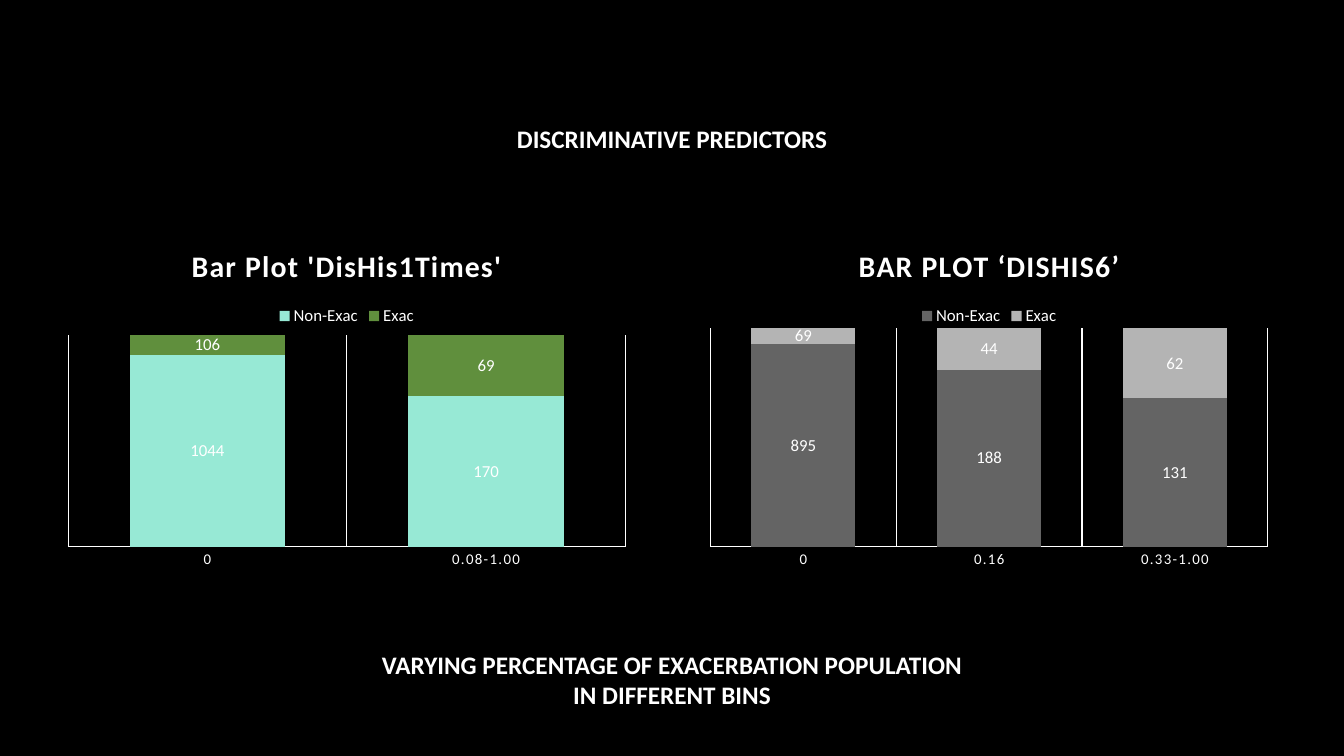
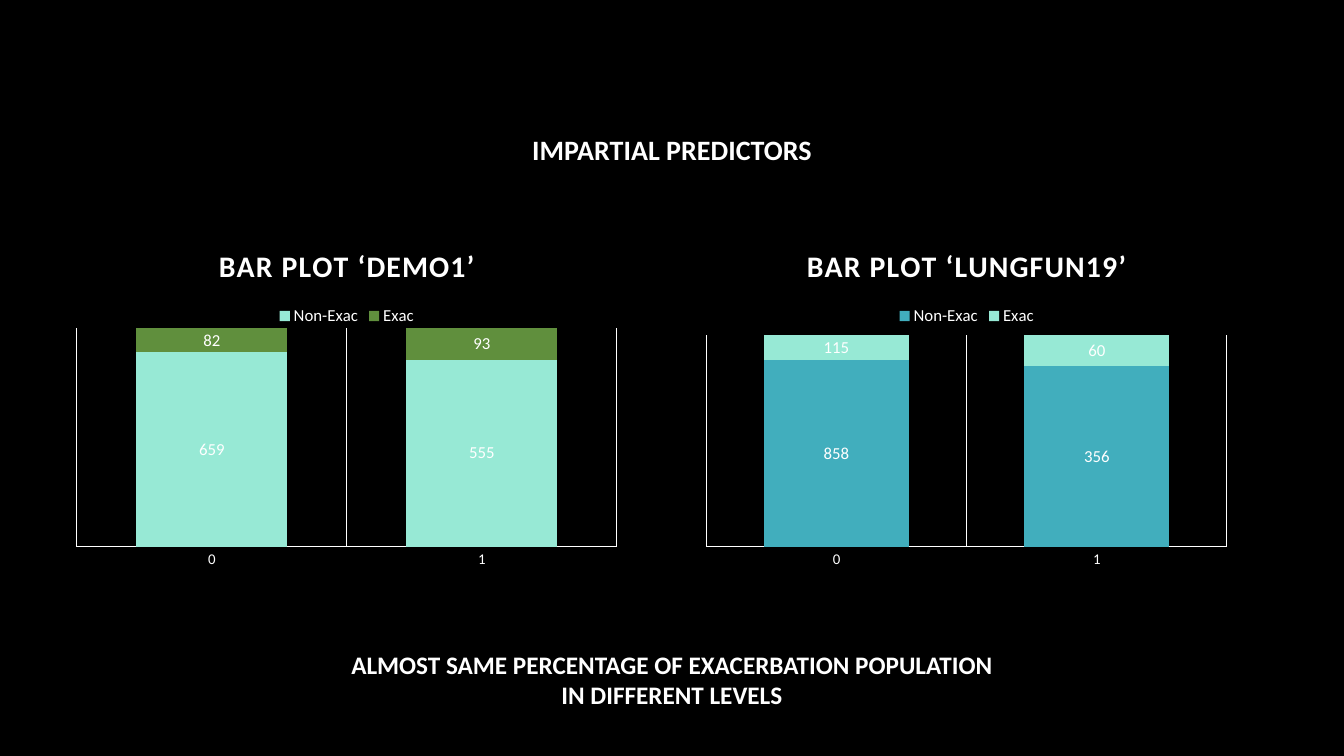
from dataclasses import dataclass

from lxml.etree import SubElement
from pptx import Presentation
from pptx.chart.data import CategoryChartData
from pptx.dml.color import RGBColor
from pptx.enum.chart import (XL_CHART_TYPE, XL_LABEL_POSITION,
                             XL_LEGEND_POSITION, XL_TICK_MARK)
from pptx.enum.text import MSO_ANCHOR, MSO_AUTO_SIZE, PP_ALIGN
from pptx.oxml import parse_xml
from pptx.oxml.ns import nsdecls, qn
from pptx.util import Inches, Pt


@dataclass(frozen=True)
class Theme:
    font: str = "Calibri"
    background: str = "000000"
    text: str = "FFFFFF"
    mint: str = "97E9D5"
    green: str = "608F3D"
    teal: str = "41AEBD"
    dark_gray: str = "646464"
    light_gray: str = "B4B4B4"
    caption_size: float = 18
    chart_title_size: float = 21.3
    label_size: float = 12
    axis_size: float = 10.6
    base_size: float = 10
    line_width: float = 0.75
    letter_spacing: int = 100


THEME = Theme()
WIDTH, HEIGHT = Inches(13.33), Inches(7.5)
TITLE_ONLY = 5
SERIES_NAMES = ("Non-Exac", "Exac")

# Rows and columns are percentages of the slide: (start, length)
CHART_ROW = (30.13, 45.87)
CAPTION_ROW = (85.2, 9.47)
TITLE_WIDTH = 29.55

SLIDES = [
    {
        "title": "DISCRIMINATIVE PREDICTORS",
        "title_size": 18,
        "title_row": (15.6, 5.33),
        "caption": ["VARYING PERCENTAGE OF EXACERBATION POPULATION",
                    "IN DIFFERENT BINS"],
        "caption_width": 53.1,
        "charts": [
            {"title": "Bar Plot 'DisHis1Times'", "column": (4.2, 43.2),
             "categories": ["0", "0.08-1.00"],
             "values": [(1044, 170), (106, 69)],
             "colors": (THEME.mint, THEME.green), "plot_top": 0.31},
            {"title": "BAR PLOT ‘DISHIS6’", "column": (52, 43.2),
             "categories": ["0", "0.16", "0.33-1.00"],
             "values": [(895, 188, 131), (69, 44, 62)],
             "colors": (THEME.dark_gray, THEME.light_gray), "plot_top": 0.29},
        ],
    },
    {
        "title": "IMPARTIAL PREDICTORS",
        "title_size": 20,
        "title_row": (16.8, 5.87),
        "caption": ["ALMOST SAME PERCENTAGE OF EXACERBATION POPULATION",
                    "IN DIFFERENT LEVELS"],
        "caption_width": 73.14,
        "charts": [
            {"title": "BAR PLOT ‘DEMO1’", "column": (4.88, 41.86),
             "categories": ["0", "1"],
             "values": [(659, 555), (82, 93)],
             "colors": (THEME.mint, THEME.green), "plot_top": 0.29},
            {"title": "BAR PLOT ‘LUNGFUN19’", "column": (51.75, 40.35),
             "categories": ["0", "1"],
             "values": [(858, 356), (115, 60)],
             "colors": (THEME.teal, THEME.mint), "plot_top": 0.31},
        ],
    },
]


def box_at(column, row):
    """Turn percentages of the slide into left, top, width and height."""
    (left, width), (top, height) = column, row
    return tuple(int(side * share / 100) for side, share in
                 ((WIDTH, left), (HEIGHT, top), (WIDTH, width), (HEIGHT, height)))


def centered(width):
    return (100 - width) / 2, width


def style_font(font, size, bold=False):
    font.name = THEME.font
    font.size = Pt(size)
    font.bold = bold
    font.color.rgb = RGBColor.from_string(THEME.text)


def write_text(frame, lines, *, size, bold=True, align=PP_ALIGN.CENTER):
    frame.word_wrap = True
    frame.auto_size = MSO_AUTO_SIZE.SHAPE_TO_FIT_TEXT
    frame.vertical_anchor = MSO_ANCHOR.TOP
    for index, line in enumerate(lines):
        paragraph = frame.add_paragraph() if index else frame.paragraphs[0]
        paragraph.alignment = align
        run = paragraph.add_run()
        run.text = line
        style_font(run.font, size, bold)


def place_title(slide, text, size, box):
    title = slide.shapes.title
    title.left, title.top, title.width, title.height = box
    write_text(title.text_frame, [text], size=size)


def add_caption(slide, lines, box):
    write_text(slide.shapes.add_textbox(*box).text_frame, lines,
               size=THEME.caption_size)


def set_plot_area(chart, top, left=0.02, width=0.96, bottom=0.92):
    """Fix the inner plot area, in shares of the chart."""
    plot_area = chart.element.find(f".//{qn('c:plotArea')}")
    for layout in plot_area.findall(qn("c:layout")):
        plot_area.remove(layout)
    layout = parse_xml(f"<c:layout {nsdecls('c')}/>")
    manual = SubElement(layout, qn("c:manualLayout"))
    settings = {"layoutTarget": "inner", "xMode": "edge", "yMode": "edge",
                "x": left, "y": top, "w": width, "h": round(bottom - top, 2)}
    for name, value in settings.items():
        SubElement(manual, qn(f"c:{name}")).set("val", str(value))
    plot_area.insert(0, layout)


def space_letters(chart):
    for query in ("c:chart/c:title//a:rPr",
                  "c:chart/c:plotArea/c:catAx/c:txPr//a:defRPr"):
        for properties in chart.element.xpath(query):
            properties.set("spc", str(THEME.letter_spacing))


def style_axes(chart):
    axis = chart.category_axis
    axis.major_tick_mark = axis.minor_tick_mark = XL_TICK_MARK.NONE
    axis.has_major_gridlines = True
    for line in (axis.format.line, axis.major_gridlines.format.line):
        line.width = Pt(THEME.line_width)
        line.color.rgb = RGBColor.from_string(THEME.text)
    style_font(axis.tick_labels.font, THEME.axis_size)
    chart.value_axis.has_major_gridlines = False
    chart.value_axis.minimum_scale = 0
    chart.value_axis.visible = False


def style_series(series, color):
    series.format.fill.solid()
    series.format.fill.fore_color.rgb = RGBColor.from_string(color)
    labels = series.data_labels
    labels.show_value = True
    labels.position = XL_LABEL_POSITION.CENTER
    style_font(labels.font, THEME.label_size)


def add_bar_plot(slide, content, box):
    data = CategoryChartData()
    data.categories = content["categories"]
    for name, values in zip(SERIES_NAMES, content["values"]):
        data.add_series(name, values)
    chart = slide.shapes.add_chart(XL_CHART_TYPE.COLUMN_STACKED_100, *box, data).chart
    style_font(chart.font, THEME.base_size)

    run = chart.chart_title.text_frame.paragraphs[0].add_run()
    run.text = content["title"]
    style_font(run.font, THEME.chart_title_size, bold=True)
    chart.chart_title.include_in_layout = False

    chart.has_legend = True
    chart.legend.position = XL_LEGEND_POSITION.TOP
    chart.legend.include_in_layout = False
    style_font(chart.legend.font, THEME.label_size)

    plot = chart.plots[0]
    plot.gap_width, plot.overlap = 79, 100
    plot.vary_by_categories = False
    for series, color in zip(plot.series, content["colors"]):
        style_series(series, color)
    style_axes(chart)
    space_letters(chart)
    set_plot_area(chart, content["plot_top"])


def add_predictor_slide(presentation, content):
    slide = presentation.slides.add_slide(presentation.slide_layouts[TITLE_ONLY])
    place_title(slide, content["title"], content["title_size"],
                box_at(centered(TITLE_WIDTH), content["title_row"]))
    add_caption(slide, content["caption"],
                box_at(centered(content["caption_width"]), CAPTION_ROW))
    for chart in content["charts"]:
        add_bar_plot(slide, chart, box_at(chart["column"], CHART_ROW))


def main():
    presentation = Presentation()
    presentation.slide_width, presentation.slide_height = WIDTH, HEIGHT
    background = presentation.slide_master.background.fill
    background.solid()
    background.fore_color.rgb = RGBColor.from_string(THEME.background)
    for content in SLIDES:
        add_predictor_slide(presentation, content)
    presentation.save("out.pptx")


if __name__ == "__main__":
    main()
